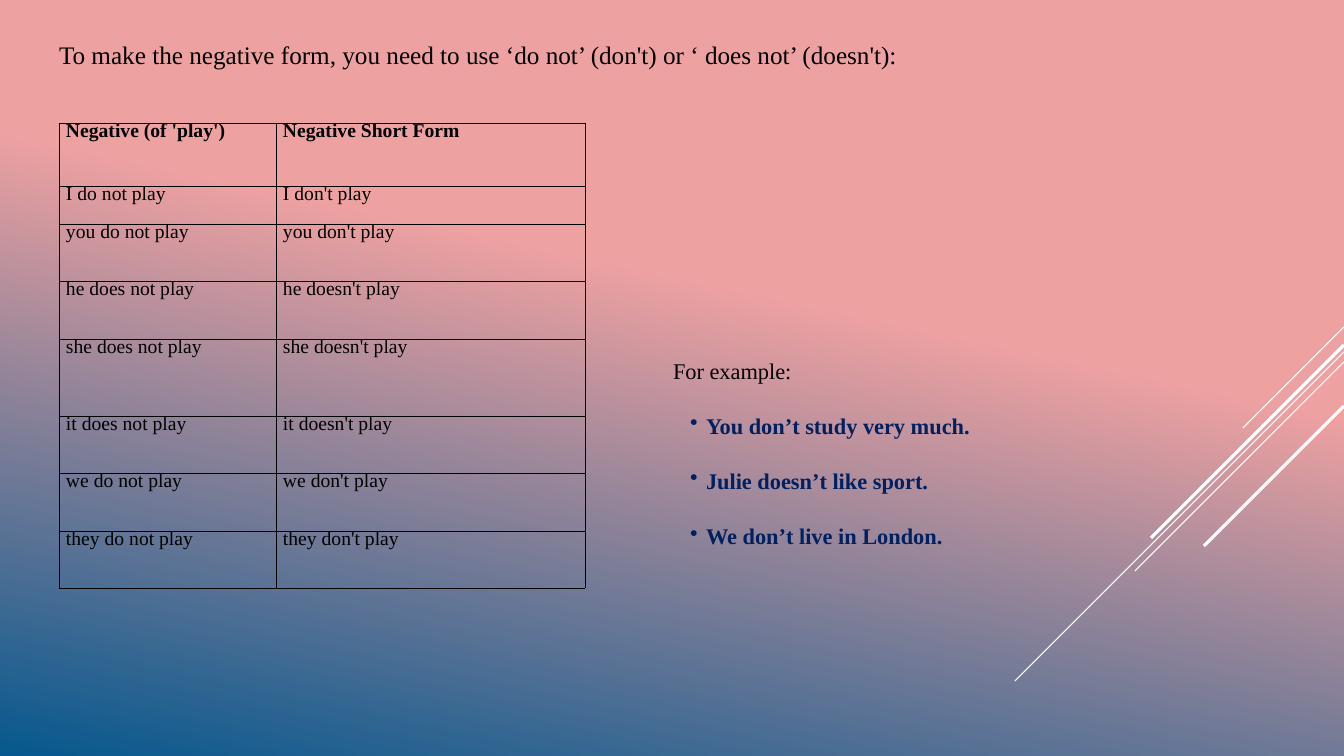
from pptx import Presentation
from pptx.dml.color import RGBColor
from pptx.enum.shapes import MSO_CONNECTOR as Conn
from pptx.enum.text import MSO_ANCHOR as Anchor, MSO_AUTO_SIZE as AutoSize, PP_ALIGN as Align
from pptx.oxml.ns import qn
from pptx.util import Pt
from lxml.etree import SubElement

COLORS = {"pink": "EEA1A1", "blue": "06588E", "white": "FFFFFF",
          "black": "000000", "navy": "002060"}
FONT = "Times New Roman"


def px(n):
    return round(n * 914400 / 100.8)


def rgb(name):
    return RGBColor.from_string(COLORS[name])


def add_run(p, text, size, color="black", bold=False):
    r = p.add_run()
    r.text = text
    r.font.name, r.font.size, r.font.bold = FONT, Pt(size), bold
    r.font.color.rgb = rgb(color)


def clear_margins(box):
    box.margin_left = box.margin_top = box.margin_right = box.margin_bottom = 0


def add_background(s):
    fill = s.background.fill
    fill.gradient()
    fill.gradient_angle = 258
    for stop, color, pos in zip(fill.gradient_stops, ("pink", "blue"), (0.4, 1)):
        stop.color.rgb, stop.position = rgb(color), pos


def add_diagonals(s, right, top):
    """Parallel 45-degree strokes running down from the right edge."""
    strokes = [(0, 101, 0.75), (25, 329, 0.75), (35, 209, 0.75),
               (18, 193, 2.25), (79, 140, 2.25)]  # drop, run, width
    for drop, run, width in strokes:
        y = top + drop
        line = s.shapes.add_connector(Conn.STRAIGHT, px(right), px(y),
                                      px(right - run), px(y + run))
        line.line.color.rgb, line.line.width = rgb("white"), Pt(width)
        SubElement(line._element.spPr, qn("a:effectLst"))


def add_title(s, x, y, w, h):
    sp = s.shapes.title
    sp.left, sp.top, sp.width, sp.height = px(x), px(y), px(w), px(h)
    tf = sp.text_frame
    tf.word_wrap, tf.auto_size = True, AutoSize.NONE
    tf.vertical_anchor = Anchor.TOP
    tf.margin_left, tf.margin_top = px(11), px(5)
    p = tf.paragraphs[0]
    p.alignment = Align.LEFT
    add_run(p, "To make the negative form, you need to use ‘do not’ (don't) "
               "or ‘ does not’ (doesn't):", 18)


def add_borders(cell):
    tcPr = cell._tc.get_or_add_tcPr()
    for side in ("lnL", "lnR", "lnT", "lnB"):
        ln = SubElement(tcPr, qn(f"a:{side}"), w=str(Pt(0.48)))
        fill = SubElement(ln, qn("a:solidFill"))
        SubElement(fill, qn("a:srgbClr"), val=COLORS["black"])


def add_negative_table(s, x, y):
    subjects = ["I", "you", "he", "she", "it", "we", "they"]
    rows = [("Negative (of 'play')", "Negative Short Form")]
    for who in subjects:
        verb = "does" if who in ("he", "she", "it") else "do"
        rows.append((f"{who} {verb} not play", f"{who} {verb}n't play"))
    widths = [217, 309]
    heights = [63, 38, 57, 58, 77, 57, 58, 57]

    table = s.shapes.add_table(len(rows), len(widths), px(x), px(y),
                               px(sum(widths)), px(sum(heights))).table
    table.first_row = table.horz_banding = False
    for col, w in zip(table.columns, widths):
        col.width = px(w)
    for i, (texts, h) in enumerate(zip(rows, heights)):
        table.rows[i].height = px(h)
        for cell, text in zip(table.rows[i].cells, texts):
            clear_margins(cell)
            cell.margin_left = px(7)
            add_borders(cell)
            cell.fill.background()
            p = cell.text_frame.paragraphs[0]
            p.line_spacing = Pt(13.2 if i else 13.4)
            add_run(p, text, 14, bold=i == 0)


def add_examples(s, x, y, w, h):
    tf = s.shapes.add_textbox(px(x), px(y), px(w), px(h)).text_frame
    tf.word_wrap = True
    clear_margins(tf)
    add_run(tf.paragraphs[0], "For example:", 16)
    for text in ("You don’t study very much.", "Julie doesn’t like sport.",
                 "We don’t live in London."):
        p = tf.add_paragraph()
        p.space_before = Pt(20.2)
        pPr = p._p.get_or_add_pPr()
        pPr.set("marL", str(px(33)))
        pPr.set("indent", str(px(-16)))
        SubElement(pPr, qn("a:buChar"), char="•")
        add_run(p, text, 16, "navy", True)


def main():
    prs = Presentation()
    prs.slide_width, prs.slide_height = px(1344), px(756)
    s = prs.slides.add_slide(prs.slide_layouts[5])  # title only
    add_background(s)
    add_diagonals(s, 1344, 327)
    add_title(s, 48, 34, 1073, 40)
    add_negative_table(s, 59, 123)
    add_examples(s, 673, 357, 997 - 330, 190)
    prs.save("out.pptx")


if __name__ == "__main__":
    main()
